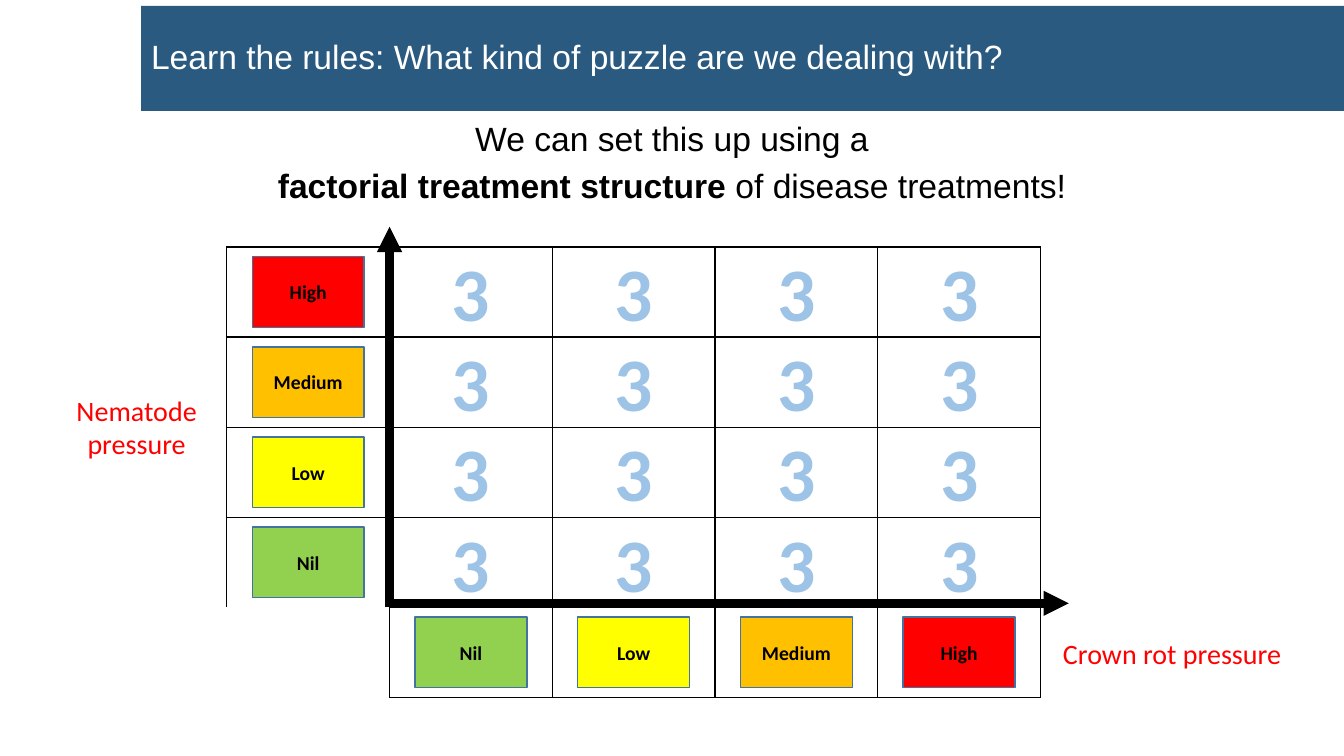
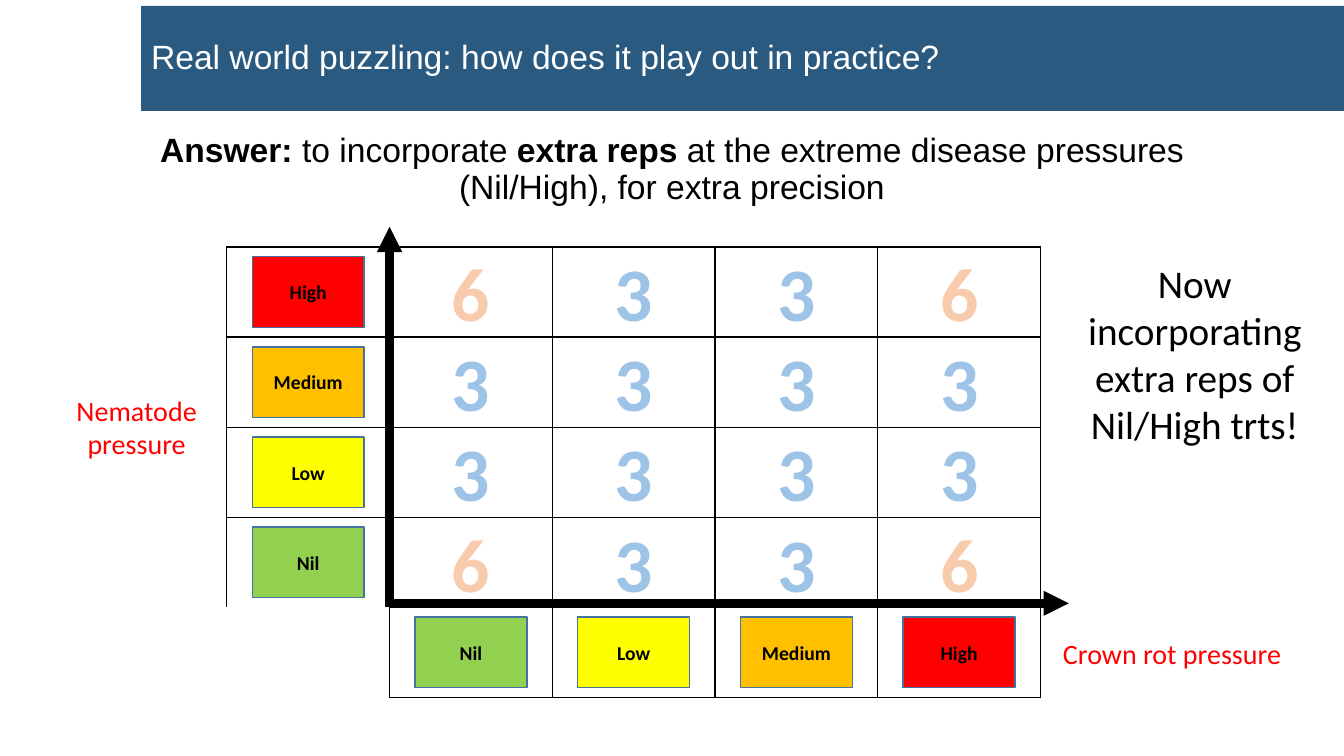
from lxml import etree
from pptx import Presentation
from pptx.dml.color import RGBColor
from pptx.enum.shapes import MSO_CONNECTOR, MSO_SHAPE
from pptx.enum.text import MSO_ANCHOR, PP_ALIGN
from pptx.oxml.ns import qn
from pptx.util import Inches, Pt

RECTANGLE = MSO_SHAPE.RECTANGLE
STRAIGHT = MSO_CONNECTOR.STRAIGHT
LEFT, CENTER = PP_ALIGN.LEFT, PP_ALIGN.CENTER
TOP, MIDDLE = MSO_ANCHOR.TOP, MSO_ANCHOR.MIDDLE

SLIDE_WIDTH, SLIDE_HEIGHT = 13.33, 7.5
HEADING_FONT, LABEL_FONT = "Arial", "Calibri"
BLACK, WHITE, RED = "000000", "FFFFFF", "FF0000"
BAND_BLUE, CHIP_LINE = "2A5A80", "43739E"
BAND_LEFT, BAND_TOP, BAND_HEIGHT = 1.4, 0.06, 1.04

GRID_LEFT, GRID_TOP = 2.25, 2.45
GRID_SIZE = 5
COLUMN, ROW = 8.07 / GRID_SIZE, 4.47 / GRID_SIZE
AXIS_COLUMN, AXIS_ROW = 1, GRID_SIZE - 1
CHIP_SIZE = (1.11, 0.7)
COUNT_SIZE = (0.62, 1.01)

# Disease levels, from weakest to strongest
LEVELS = [("Nil", "92D050"), ("Low", "FFFF00"), ("Medium", "FFC000"), ("High", RED)]
# Replicate count: (text colour, outline colour)
COUNT_COLOURS = {3: ("9DC3E6", "2E75B6"), 6: ("F8CBAD", "ED7D31")}
EQUAL_COUNTS = [[3] * 4] * 4
EXTRA_COUNTS = [[6, 3, 3, 6], [3] * 4, [3] * 4, [6, 3, 3, 6]]


def colour(value):
    return RGBColor.from_string(value)


def add_solid_fill(parent, value):
    fill = etree.SubElement(parent, qn("a:solidFill"))
    etree.SubElement(fill, qn("a:srgbClr"), val=value)


def in_cell(column, row, size):
    """Return the place of an item centred in a grid cell."""
    width, height = size
    return (GRID_LEFT + (column + 0.5) * COLUMN - width / 2,
            GRID_TOP + (row + 0.5) * ROW - height / 2, width, height)


def write(frame, paragraphs, size, font, value=BLACK, bold=None,
          align=CENTER, anchor=TOP, line_spacing=None, gap=0):
    """Fill a frame; each paragraph is a list of (text, bold) spans."""
    frame.word_wrap = True
    frame.vertical_anchor = anchor
    for index, spans in enumerate(paragraphs):
        para = frame.add_paragraph() if index else frame.paragraphs[0]
        para.alignment = align
        para.line_spacing = line_spacing
        if index:
            para.space_before = Pt(gap)
        para.font.size = Pt(size)
        para.font.name = font
        para.font.color.rgb = colour(value)
        para.font.bold = bold
        for text, span_bold in spans:
            span = para.add_run()
            span.text = text
            if span_bold:
                span.font.bold = True


def add_text(page, place, paragraphs, size, font, **style):
    box = page.shapes.add_textbox(*map(Inches, place))
    write(box.text_frame, paragraphs, size, font, **style)
    return box


def add_rectangle(page, place, fill, line=None):
    box = page.shapes.add_shape(RECTANGLE, *map(Inches, place))
    box.shadow.inherit = False
    box.fill.solid()
    box.fill.fore_color.rgb = colour(fill)
    if line:
        box.line.color.rgb = colour(line)
        box.line.width = Pt(1)
    else:
        box.line.fill.background()
    return box


def add_title(page, title):
    width = SLIDE_WIDTH - BAND_LEFT
    place = (BAND_LEFT, BAND_TOP, width, BAND_HEIGHT)
    add_rectangle(page, place, BAND_BLUE)
    add_text(page, place, [[(title, False)]], 24, HEADING_FONT, value=WHITE,
             align=LEFT, anchor=MIDDLE, line_spacing=0.9)


def add_lead(page, top, paragraphs):
    width = 11.5
    place = ((SLIDE_WIDTH - width) / 2, top, width, 3.01 - top)
    add_text(page, place, paragraphs, 24, HEADING_FONT, line_spacing=0.9, gap=7.5)


def add_axis(page, start, end):
    axis = page.shapes.add_connector(STRAIGHT, *map(Inches, start + end))
    axis.line.color.rgb = colour(BLACK)
    axis.line.width = Pt(6)
    properties = axis._element.spPr
    etree.SubElement(properties.find(qn("a:ln")), qn("a:tailEnd"), type="triangle")
    etree.SubElement(properties, qn("a:effectLst"))


def set_borders(cell, hidden):
    properties = cell._tc.get_or_add_tcPr()
    for side in "LRTB":
        border = etree.SubElement(properties, qn(f"a:ln{side}"), w=str(Pt(1)))
        if side in hidden:
            etree.SubElement(border, qn("a:noFill"))
        else:
            add_solid_fill(border, BLACK)


def add_grid(page):
    """Draw the ruled table, leaving its bottom left corner open."""
    place = (GRID_LEFT, GRID_TOP, GRID_SIZE * COLUMN, GRID_SIZE * ROW)
    table = page.shapes.add_table(GRID_SIZE, GRID_SIZE, *map(Inches, place)).table
    table.first_row = table.horz_banding = False
    hidden = {(AXIS_ROW, 0): "LTB", (AXIS_ROW - 1, 0): "B"}
    for row in range(GRID_SIZE):
        for column in range(GRID_SIZE):
            cell = table.cell(row, column)
            set_borders(cell, hidden.get((row, column), ""))
            cell.fill.background()


def add_chip(page, column, row, level, fill):
    chip = add_rectangle(page, in_cell(column, row, CHIP_SIZE), fill, CHIP_LINE)
    write(chip.text_frame, [[(level, False)]], 14, LABEL_FONT, bold=True, anchor=MIDDLE)


def add_count(page, column, row, count):
    value, outline = COUNT_COLOURS[count]
    box = add_text(page, in_cell(column, row, COUNT_SIZE), [[(str(count), False)]],
                   54, LABEL_FONT, value=value, bold=True)
    box.text_frame.word_wrap = False
    span = box.text_frame.paragraphs[0].runs[0]
    span.font.color.rgb = colour(value)
    line = etree.Element(qn("a:ln"), w=str(Pt(1.75)))
    add_solid_fill(line, outline)
    span._r.get_or_add_rPr().insert(0, line)


def add_factorial(page, counts):
    """Draw the axes, the grid, its level chips and the replicate counts."""
    axis_x, axis_y = GRID_LEFT + AXIS_COLUMN * COLUMN, GRID_TOP + AXIS_ROW * ROW
    add_axis(page, (axis_x, axis_y), (axis_x, GRID_TOP - 0.2))
    add_axis(page, (axis_x, axis_y - 0.04), (10.6, axis_y - 0.04))
    for name, place in [("Nematode pressure", (0.6, 3.85, 1.51, 0.77)),
                        ("Crown rot pressure", (10.35, 6.27, 2.55, 0.44))]:
        add_text(page, place, [[(name, False)]], 20, LABEL_FONT, value=RED)
    add_grid(page)
    for index, (level, fill) in enumerate(LEVELS):
        add_chip(page, AXIS_COLUMN + index, AXIS_ROW, level, fill)
        add_chip(page, 0, AXIS_ROW - 1 - index, level, fill)
    for row, row_counts in enumerate(counts):
        for column, count in enumerate(row_counts, AXIS_COLUMN):
            add_count(page, column, row, count)


def add_page(deck, title, counts):
    page = deck.slides.add_slide(deck.slide_layouts[6])
    add_title(page, title)
    add_factorial(page, counts)
    return page


def main():
    deck = Presentation()
    deck.slide_width, deck.slide_height = Inches(SLIDE_WIDTH), Inches(SLIDE_HEIGHT)

    page = add_page(deck, "Learn the rules: What kind of puzzle are we dealing with?",
                    EQUAL_COUNTS)
    add_lead(page, 1.17, [
        [("We can set this up using a", False)],
        [("factorial treatment structure ", True), ("of disease treatments!", False)]])

    page = add_page(deck, "Real world puzzling: how does it play out in practice?",
                    EXTRA_COUNTS)
    add_lead(page, 1.28, [
        [("Answer:", True), (" to incorporate ", False), ("extra reps ", True),
         ("at the extreme disease pressures (Nil/High), for extra precision", False)]])
    add_text(page, (10.56, 2.52, 2.58, 1.99),
             [[("Now incorporating extra reps of Nil/High trts!", False)]], 28, LABEL_FONT)

    deck.save("out.pptx")


if __name__ == "__main__":
    main()
